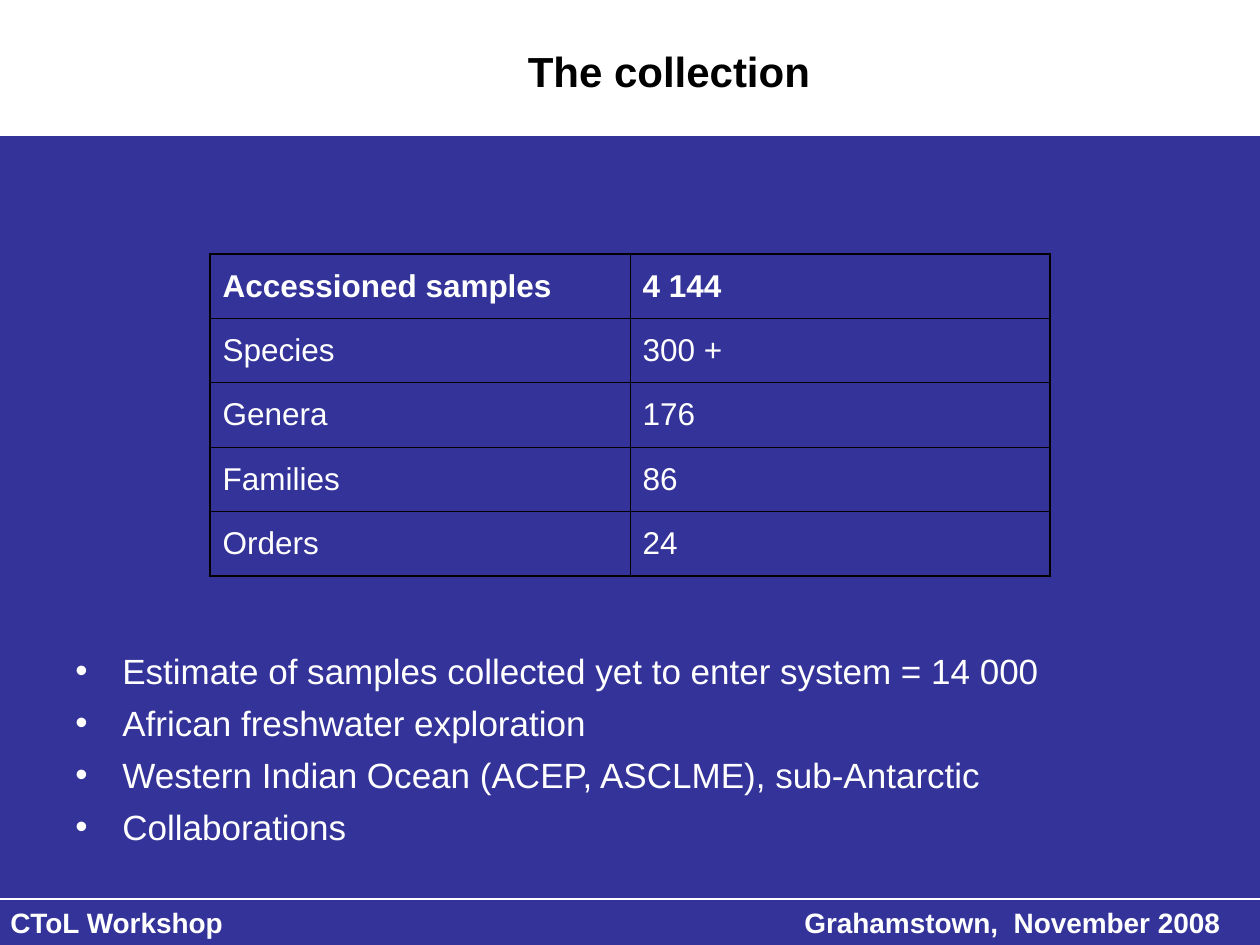
from lxml.etree import SubElement
from pptx import Presentation
from pptx.dml.color import RGBColor
from pptx.enum.shapes import MSO_SHAPE
from pptx.enum.text import MSO_ANCHOR, PP_ALIGN
from pptx.oxml import parse_xml
from pptx.oxml.ns import nsdecls, qn
from pptx.util import Emu, Pt

WHITE = RGBColor(0xFF, 0xFF, 0xFF)
BLACK = RGBColor(0x00, 0x00, 0x00)
NAVY = RGBColor(0x33, 0x33, 0x99)
FONT = "Arial"


def px(length):
    return Emu(round(length * 914400 / 126))


def style(para, size, color, bold=False):
    for span in para.runs:
        span.font.name = FONT
        span.font.size = Pt(size)
        span.font.bold = bold
        span.font.color.rgb = color


deck = Presentation()
deck.slide_width, deck.slide_height = px(1260), px(945)
page = deck.slides.add_slide(deck.slide_layouts[6])
page.background.fill.solid()
page.background.fill.fore_color.rgb = NAVY

# Header band and footer bar
bands = []
for left, top, width, height, fill, weight in [
    (0, 0, 1260, 135, WHITE, 0.75),
    (-2, 899, 1285, 47, NAVY, 1.5),
]:
    band = page.shapes.add_shape(
        MSO_SHAPE.RECTANGLE, px(left), px(top), px(width), px(height))
    band.shadow.inherit = False
    band.fill.solid()
    band.fill.fore_color.rgb = fill
    band.line.color.rgb = WHITE
    band.line.width = Pt(weight)
    bands.append(band)

# Footer text: the date ends at a right tab stop
footer = bands[1].text_frame
footer.vertical_anchor = MSO_ANCHOR.TOP
para = footer.paragraphs[0]
para.text = "CToL Workshop\tGrahamstown,  November 2008"
para.alignment = PP_ALIGN.LEFT
tabs = SubElement(para._p.get_or_add_pPr(), qn("a:tabLst"))
SubElement(tabs, qn("a:tab"), pos=str(px(1210)), algn="r")
style(para, 16, WHITE, bold=True)

# Title
title = page.shapes.add_textbox(px(272), px(32), px(794), px(77)).text_frame
title.word_wrap = True
title.vertical_anchor = MSO_ANCHOR.MIDDLE
para = title.paragraphs[0]
para.text = "The collection"
para.alignment = PP_ALIGN.CENTER
style(para, 24, BLACK, bold=True)

# Bullets, resting at the bottom of the body area
bullets = [
    "Estimate of samples collected yet to enter system = 14 000",
    "African freshwater exploration",
    "Western Indian Ocean (ACEP, ASCLME), sub-Antarctic",
    "Collaborations",
]
body = page.shapes.add_textbox(px(63), px(141), px(1134), px(738)).text_frame
body.word_wrap = True
body.vertical_anchor = MSO_ANCHOR.BOTTOM
body.margin_bottom = px(31)
for index, bullet in enumerate(bullets):
    para = body.add_paragraph() if index else body.paragraphs[0]
    para.text = bullet
    if index:
        para.space_before = Pt(5.75)
    properties = para._p.get_or_add_pPr()
    properties.set("marL", str(px(47)))
    properties.set("indent", str(-px(47)))
    SubElement(properties, qn("a:buFont"), typeface=FONT)
    SubElement(properties, qn("a:buChar"), char="•")
    style(para, 20, WHITE)

# Table of counts
counts = [
    ("Accessioned samples", "4 144"),
    ("Species", "300 +"),
    ("Genera", "176"),
    ("Families", "86"),
    ("Orders", "24"),
]
last_row, last_column = len(counts) - 1, 1
table = page.shapes.add_table(
    len(counts), 2, px(210), px(254), px(840), px(322)).table
table.first_row = False
table.horz_banding = False
for row_index, row in enumerate(counts):
    for column_index, text in enumerate(row):
        cell = table.cell(row_index, column_index)
        cell.fill.background()
        cell.vertical_anchor = MSO_ANCHOR.MIDDLE
        cell.text_frame.text = text
        style(cell.text_frame.paragraphs[0], 18, WHITE, bold=row_index == 0)

        # Outer edges are heavier than inner ones
        outer_edges = {
            "lnL": column_index == 0,
            "lnR": column_index == last_column,
            "lnT": row_index == 0,
            "lnB": row_index == last_row,
        }
        for position, (edge, outer) in enumerate(outer_edges.items()):
            weight = Pt(1.08 if outer else 0.45)
            border = parse_xml(
                f'<a:{edge} {nsdecls("a")} w="{weight}"><a:solidFill>'
                f'<a:srgbClr val="{BLACK}"/></a:solidFill></a:{edge}>')
            cell._tc.get_or_add_tcPr().insert(position, border)

deck.save("out.pptx")
